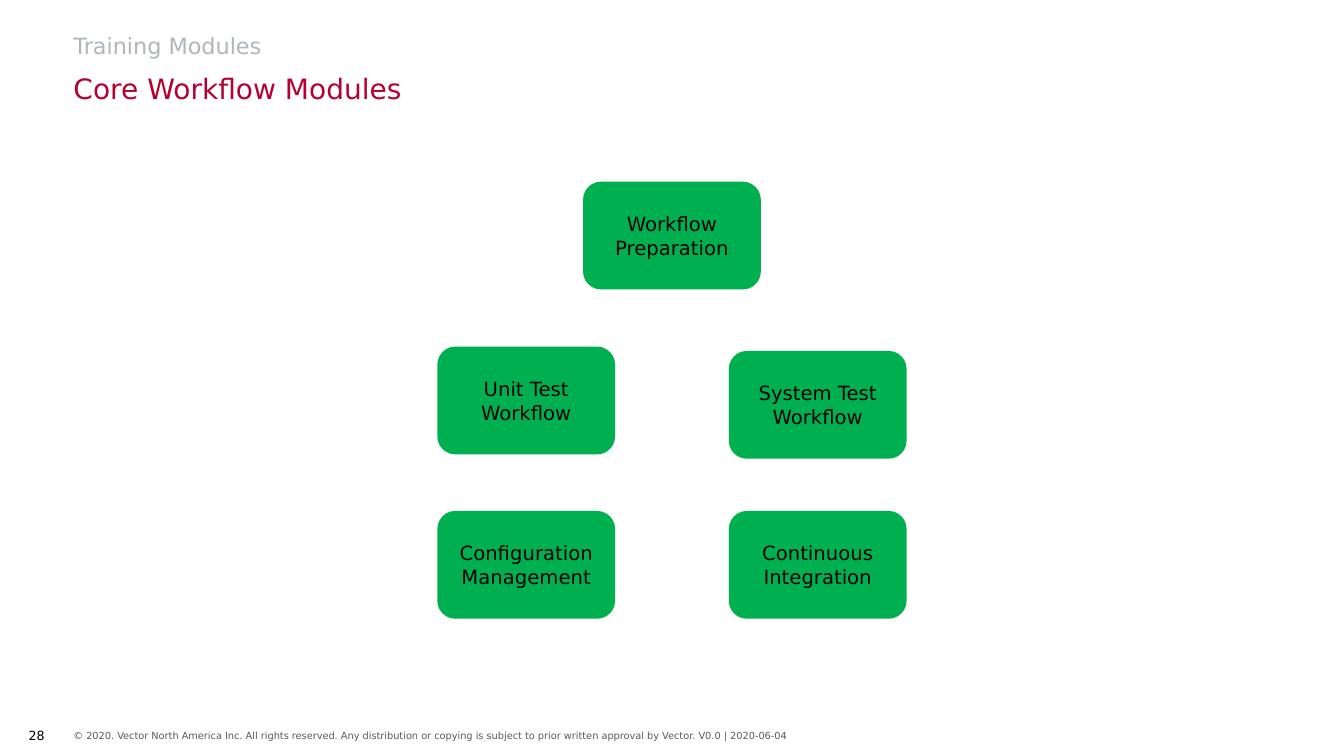
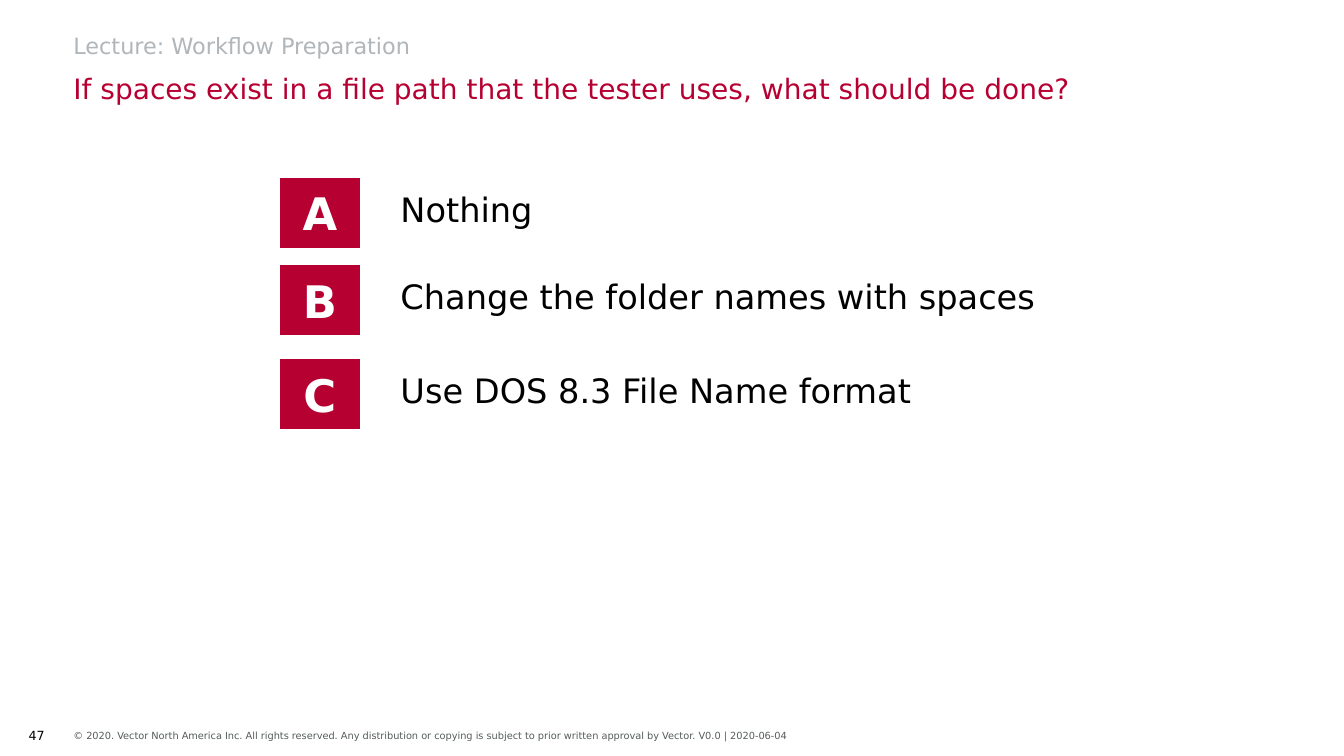
from pptx import Presentation
from pptx.dml.color import RGBColor
from pptx.enum.shapes import MSO_SHAPE
from pptx.enum.text import MSO_ANCHOR, PP_ALIGN
from pptx.util import Pt

FONT = "DejaVu Sans"
COLORS = {
    "red": "B70032",
    "green": "00B050",
    "light gray": "B1B6BA",
    "dark gray": "565C5E",
    "black": "000000",
    "white": "FFFFFF",
}
COPYRIGHT = (
    "© 2020. Vector North America Inc. All rights reserved. Any distribution or "
    "copying is subject to prior written approval by Vector. V0.0 | 2020-06-04"
)
MARGIN = 52.5
FOOTER_TOP, FOOTER_HEIGHT = 510.5, 29.5


def add_text(slide, text, left, top, width, height, size, color="black", bold=False,
             align=PP_ALIGN.LEFT, anchor=MSO_ANCHOR.MIDDLE, line_spacing=None,
             inset=(0, 0), kind=None, fill=None):
    """Add text in a plain box, or in a filled preset shape when kind is given."""
    place = Pt(left), Pt(top), Pt(width), Pt(height)
    if kind is None:
        shape = slide.shapes.add_textbox(*place)
    else:
        shape = slide.shapes.add_shape(kind, *place)
        shape.shadow.inherit = False
        shape.fill.solid()
        shape.fill.fore_color.rgb = RGBColor.from_string(COLORS[fill])
        shape.line.fill.background()
    frame = shape.text_frame
    frame.word_wrap = True
    frame.vertical_anchor = anchor
    frame.margin_left = frame.margin_right = Pt(inset[0])
    frame.margin_top = frame.margin_bottom = Pt(inset[1])
    paragraph = frame.paragraphs[0]
    paragraph.text = text
    paragraph.alignment = align
    if line_spacing:
        paragraph.line_spacing = line_spacing
    paragraph.font.name = FONT
    paragraph.font.size = Pt(size)
    paragraph.font.bold = bold
    paragraph.font.color.rgb = RGBColor.from_string(COLORS[color])


def add_base_slide(presentation, number, section, title):
    """Add a blank slide with the shared heading and footer."""
    slide = presentation.slides.add_slide(presentation.slide_layouts[6])
    add_text(slide, section, MARGIN, 20, 704, 22.5, size=16, color="light gray",
             anchor=MSO_ANCHOR.BOTTOM, line_spacing=0.9)
    add_text(slide, title, MARGIN, 50, 778, 25, size=20, color="red",
             anchor=MSO_ANCHOR.BOTTOM)
    add_text(slide, number, 0, FOOTER_TOP, MARGIN, FOOTER_HEIGHT, size=9,
             align=PP_ALIGN.CENTER)
    add_text(slide, COPYRIGHT, MARGIN, FOOTER_TOP, 856, FOOTER_HEIGHT, size=7,
             color="dark gray")
    return slide


presentation = Presentation()
presentation.slide_width = Pt(960)
presentation.slide_height = Pt(540)

# Workflow modules: one box centred above two columns
slide = add_base_slide(presentation, "28", "Training Modules", "Core Workflow Modules")
left_column, right_column = 312.4, 520.6
center_column = (left_column + right_column) / 2
modules = [
    ("Workflow Preparation", center_column, 129.8),
    ("Unit Test Workflow", left_column, 247.6),
    ("System Test Workflow", right_column, 250.7),
    ("Configuration Management", left_column, 365),
    ("Continuous Integration", right_column, 365),
]
for name, left, top in modules:
    add_text(slide, name, left, top, 127, 77, size=14, align=PP_ALIGN.CENTER,
             inset=(7.2, 3.6), kind=MSO_SHAPE.ROUNDED_RECTANGLE, fill="green")

# Quiz: lettered buttons with their answers
slide = add_base_slide(
    presentation, "47", "Lecture: Workflow Preparation",
    "If spaces exist in a file path that the tester uses, what should be done?")
answers = [
    ("A", "Nothing", 127.2),
    ("B", "Change the folder names with spaces", 189.5),
    ("C", "Use DOS 8.3 File Name format", 256.5),
]
for letter, answer, top in answers:
    add_text(slide, letter, 200, top, 57, 50, size=32, color="white", bold=True,
             align=PP_ALIGN.CENTER, inset=(7.2, 3.6),
             kind=MSO_SHAPE.ACTION_BUTTON_CUSTOM, fill="red")
    add_text(slide, answer, 279, top + 4, 482, 36, size=24,
             anchor=MSO_ANCHOR.TOP, inset=(7.2, 3.6))

presentation.save("out.pptx")
